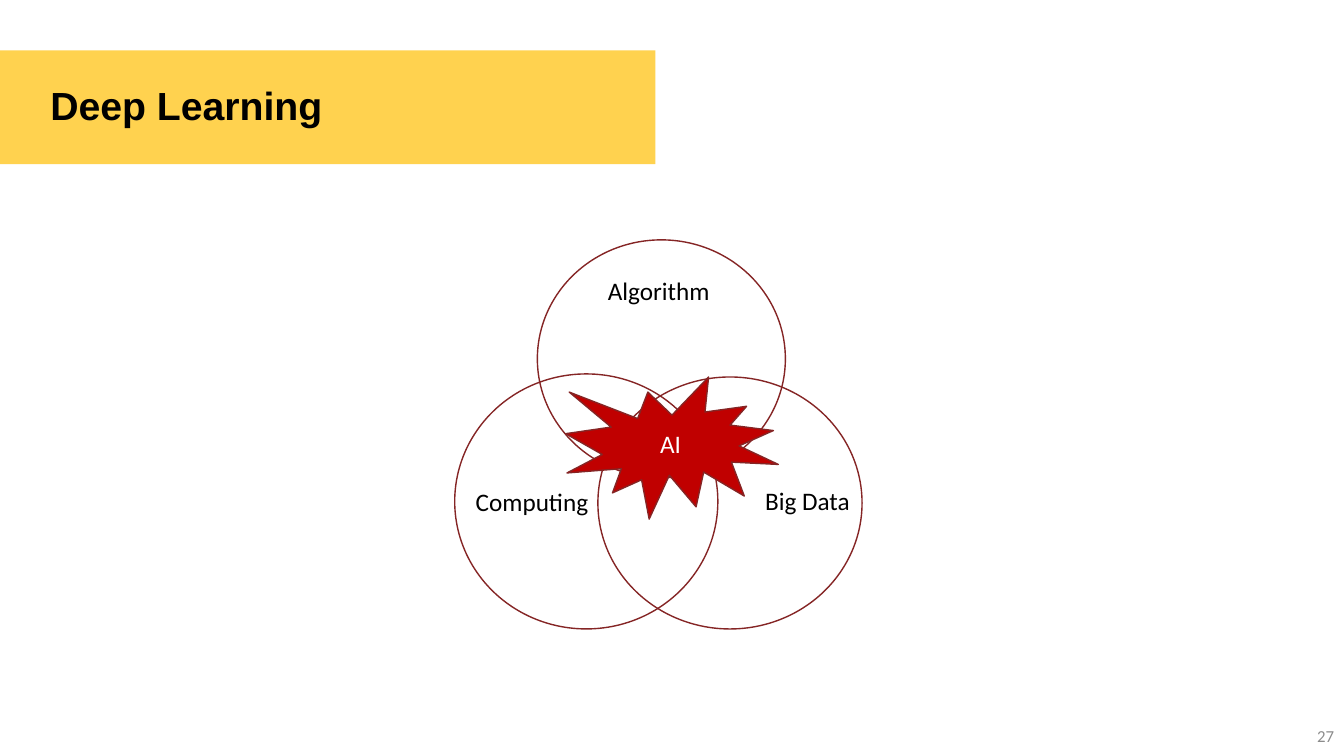
import pptx
import pptx.dml.color
import pptx.enum.shapes
import pptx.enum.text
import pptx.util

Inches = pptx.util.Inches
Pt = pptx.util.Pt
SHAPE = pptx.enum.shapes.MSO_SHAPE
ALIGN = pptx.enum.text.PP_ALIGN
MIDDLE = pptx.enum.text.MSO_ANCHOR.MIDDLE
OUTLINE = "852525"


def rgb(value):
    return pptx.dml.color.RGBColor.from_string(value)


def write(shape, text, size=18, color="000000", font="Calibri", align=ALIGN.LEFT):
    """Put one styled paragraph into the shape and return it."""
    shape.text_frame.word_wrap = True
    p = shape.text_frame.paragraphs[0]
    p.text = text
    p.alignment = align
    p.font.size = Pt(size)
    p.font.name = font
    p.font.color.rgb = rgb(color)
    return p


prs = pptx.Presentation()
prs.slide_width = Inches(13.33)
prs.slide_height = Inches(7.5)
s = prs.slides.add_slide(prs.slide_layouts[6])

# Title banner
banner = s.shapes.add_shape(SHAPE.RECTANGLE, 0, Inches(0.5), Inches(6.5), Inches(1.13))
banner.shadow.inherit = False
banner.fill.solid()
banner.fill.fore_color.rgb = rgb("FFD24F")
banner.line.fill.background()
banner.text_frame.margin_left = Inches(0.5)
banner.text_frame.margin_right = Inches(0.05)
banner.text_frame.vertical_anchor = MIDDLE
p = write(banner, "Deep Learning", size=28, font="Arial")
p.font.bold = True
p.line_spacing = 0.9

# Slide number
number = s.shapes.add_textbox(Inches(10.33), Inches(7.1), Inches(3), Inches(0.4))
number.text_frame.vertical_anchor = MIDDLE
write(number, "27", size=12, color="8C8C8C", align=ALIGN.RIGHT)

# Overlapping circles: label, circle box, label position
circles = [
    ("Algorithm", (5.33, 2.38, 2.46, 2.36), (5.93, 2.68)),
    ("Computing", (4.51, 3.71, 2.61, 2.53), (4.62, 4.78)),
    ("Big Data", (5.93, 3.74, 2.62, 2.5), (7.49, 4.77)),
]
for text, box, (left, top) in circles:
    group = s.shapes.add_group_shape()
    circle = group.shapes.add_shape(SHAPE.OVAL, *map(Inches, box))
    circle.shadow.inherit = False
    circle.fill.background()
    circle.line.color.rgb = rgb(OUTLINE)
    circle.line.width = Pt(1)
    label = group.shapes.add_textbox(Inches(left), Inches(top), Inches(1.42), Inches(0.4))
    write(label, text)

# Burst where the circles meet
burst = s.shapes.add_shape(
    SHAPE.EXPLOSION1, Inches(5.61), Inches(3.74), Inches(2.11), Inches(1.41)
)
burst.shadow.inherit = False
burst.fill.solid()
burst.fill.fore_color.rgb = rgb("C00000")
burst.line.color.rgb = rgb(OUTLINE)
burst.line.width = Pt(1)
burst.text_frame.vertical_anchor = MIDDLE
write(burst, "AI", color="FFFFFF", align=ALIGN.CENTER)

prs.save("out.pptx")
